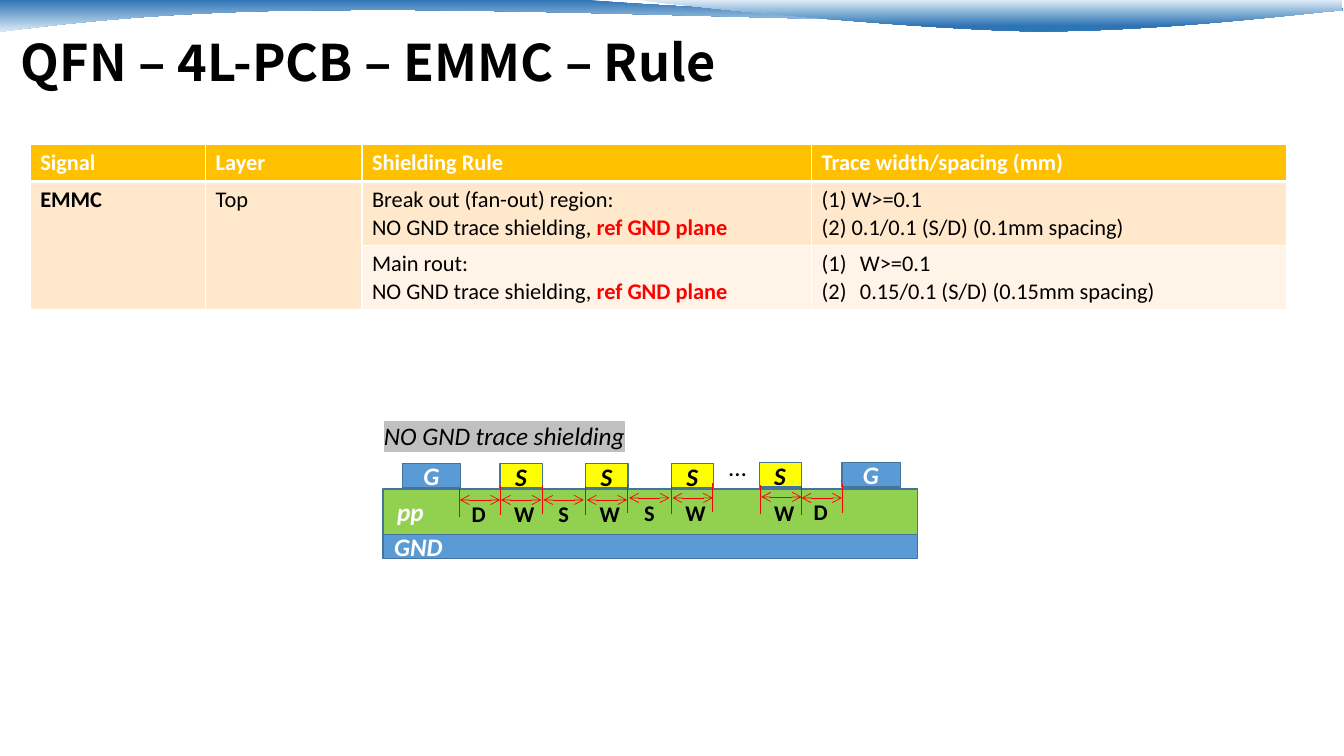
from lxml import etree
from pptx import Presentation
from pptx.dml.color import RGBColor
from pptx.enum.shapes import MSO_CONNECTOR, MSO_SHAPE
from pptx.enum.text import MSO_ANCHOR, MSO_AUTO_SIZE
from pptx.oxml.ns import qn
from pptx.util import Inches, Pt

STRAIGHT = MSO_CONNECTOR.STRAIGHT
RECTANGLE = MSO_SHAPE.RECTANGLE
ANCHOR_TOP = MSO_ANCHOR.TOP
ANCHOR_BOTTOM = MSO_ANCHOR.BOTTOM
FIT_SHAPE = MSO_AUTO_SIZE.SHAPE_TO_FIT_TEXT
NO_FIT = MSO_AUTO_SIZE.NONE

BLACK = RGBColor(0x00, 0x00, 0x00)
WHITE = RGBColor(0xFF, 0xFF, 0xFF)
RED = RGBColor(0xFF, 0x00, 0x00)
GREEN = RGBColor(0x92, 0xD0, 0x50)
YELLOW = RGBColor(0xFF, 0xFF, 0x00)
BLUE = RGBColor(0x5B, 0x9B, 0xD5)
OUTLINE = RGBColor(0x43, 0x73, 0x9E)
WAVE_DARK = RGBColor(0x2E, 0x75, 0xB6)
WAVE_LIGHT = RGBColor(0xDE, 0xEB, 0xF7)
GREY = RGBColor(0xC0, 0xC0, 0xC0)
GOLD = RGBColor(0xFF, 0xC0, 0x00)
PEACH = RGBColor(0xFF, 0xE8, 0xCC)
PALE_PEACH = RGBColor(0xFF, 0xF4, 0xE7)

LEFT_WAVE = [
    [(-0.03, 0)], [(5.84, 0)],
    [(6.32, 0.05), (8.82, 0.18), (10.09, 0.18)],
    [(11.35, 0.18), (12.75, 0.07), (13.31, 0.03)], [(13.32, 0.1)],
    [(13.09, 0.13), (11.57, 0.22), (9.92, 0.22)],
    [(8.27, 0.21), (5.06, 0.08), (3.4, 0.1)],
    [(1.7, 0.1), (0.59, 0.24), (-0.04, 0.32)],
]
RIGHT_WAVE = [
    [(6.36, 0)],
    [(6.77, 0.06), (9.07, 0.29), (10.22, 0.31)],
    [(11.38, 0.32), (12.79, 0.15), (13.31, 0.1)], [(13.31, 0)],
]

GROUND_TRACES = [(3.99, 4.6), (8.35, 4.59)]
SIGNAL_TRACES = [(4.96, 4.6), (5.81, 4.6), (6.66, 4.6), (7.53, 4.59)]
TICKS = [(4.56, 4.84), (4.96, 4.82), (5.38, 4.81), (5.81, 4.82), (6.22, 4.8),
         (6.66, 4.81), (7.07, 4.79), (7.54, 4.81), (7.95, 4.82), (8.35, 4.8)]
DIMENSIONS = [("D", 4.56, 4.96, 4.91), ("W", 4.97, 4.96, 4.91),
              ("S", 5.39, 4.96, 4.91), ("W", 5.82, 4.96, 4.91),
              ("S", 6.24, 4.94, 4.9), ("W", 6.67, 4.94, 4.9),
              ("W", 7.55, 4.93, 4.9), ("D", 7.95, 4.94, 4.89)]
LABEL_OFFSETS = {"D": 0.02, "W": 0.03, "S": 0.05}
LABEL_WIDTHS = {"D": 0.29, "W": 0.4, "S": 0.3}

COLUMN_WIDTHS = [1.74, 1.55, 4.46, 4.71]
ROW_HEIGHTS = [0.37, 0.63, 0.63]
HEADINGS = ["Signal", "Layer", "Shielding Rule", "Trace width/spacing (mm)"]


def add_run(paragraph, text, size=16, color=BLACK, bold=False, italic=False,
            font="Calibri", highlight=None):
    run = paragraph.add_run()
    run.text = text
    run.font.size = Pt(size)
    run.font.name = font
    run.font.bold = bold
    run.font.italic = italic
    run.font.color.rgb = color
    properties = run.font._element
    if font != "Calibri":
        etree.SubElement(properties, qn("a:ea"), typeface=font)
    if highlight is not None:
        mark = etree.Element(qn("a:highlight"))
        etree.SubElement(mark, qn("a:srgbClr"), val=str(highlight))
        properties.find(qn("a:solidFill")).addnext(mark)


def add_text(slide, text, left, top, width, height=0.4, **text_format):
    box = slide.shapes.add_textbox(Inches(left), Inches(top), Inches(width), Inches(height))
    box.text_frame.word_wrap = False
    box.text_frame.auto_size = FIT_SHAPE
    box.text_frame.vertical_anchor = ANCHOR_TOP
    add_run(box.text_frame.paragraphs[0], text, **text_format)
    return box


def add_title(slide, text):
    box = add_text(slide, text, 0.11, 0.13, 12.26, 0.79,
                   size=36, bold=True, font="Noto Sans CJK TC")
    frame = box.text_frame
    frame.word_wrap = True
    frame.auto_size = NO_FIT
    frame.vertical_anchor = ANCHOR_BOTTOM
    frame.margin_top = frame.margin_bottom = 0
    frame.paragraphs[0].line_spacing = 0.9


def bend_segments(shape, segments):
    lines = iter(list(shape._element.iter(qn("a:lnTo"))))
    for segment in segments[1:]:
        parts = [next(lines) for point in segment]
        if len(parts) == 3:
            curve = etree.Element(qn("a:cubicBezTo"))
            parts[0].addprevious(curve)
            for part in parts:
                curve.append(part[0])
                part.getparent().remove(part)


def add_wave(slide, segments, stops):
    corners = [(Inches(x), Inches(y)) for segment in segments for x, y in segment]
    builder = slide.shapes.build_freeform(*corners[0])
    builder.add_line_segments(corners[1:], close=True)
    shape = builder.convert_to_shape()
    bend_segments(shape, segments)
    shape.shadow.inherit = False
    shape.line.fill.background()
    shape.fill.gradient()
    shape.fill.gradient_angle = 270
    for gradient_stop, (position, color) in zip(shape.fill.gradient_stops, stops):
        gradient_stop.position = position
        gradient_stop.color.rgb = color


def add_rectangle(slide, left, top, width, height, color):
    shape = slide.shapes.add_shape(RECTANGLE, Inches(left), Inches(top),
                                   Inches(width), Inches(height))
    shape.shadow.inherit = False
    shape.fill.solid()
    shape.fill.fore_color.rgb = color
    shape.line.color.rgb = OUTLINE
    shape.line.width = Pt(1)


def add_line(slide, start, end, arrows=False):
    connector = slide.shapes.add_connector(STRAIGHT, *map(Inches, start + end))
    connector.line.color.rgb = RED
    connector.line.width = Pt(0.5)
    if arrows:
        line = connector.line._get_or_add_ln()
        for side in ("a:headEnd", "a:tailEnd"):
            etree.SubElement(line, qn(side), type="arrow")
    etree.SubElement(connector._element.spPr, qn("a:effectLst"))


def add_stackup(slide):
    label_format = {"size": 18, "bold": True, "italic": True}
    add_rectangle(slide, 3.8, 4.85, 5.3, 0.51, GREEN)
    add_rectangle(slide, 3.8, 5.3, 5.3, 0.24, BLUE)
    add_text(slide, "pp", 3.84, 4.87, 0.48, color=WHITE, **label_format)
    add_text(slide, "GND", 3.81, 5.22, 0.69, color=WHITE, **label_format)
    for left, top in GROUND_TRACES:
        add_rectangle(slide, left, top, 0.58, 0.24, BLUE)
        add_text(slide, "G", left + 0.11, top - 0.08, 0.36, color=WHITE, **label_format)
    for left, top in SIGNAL_TRACES:
        add_rectangle(slide, left, top, 0.42, 0.24, YELLOW)
        add_text(slide, "S", left + 0.05, top - 0.07, 0.32, **label_format)
    for x, top in TICKS:
        add_line(slide, (x, top + 0.29), (x, top))
    for letter, left, arrow_y, label_top in DIMENSIONS:
        add_line(slide, (left, arrow_y), (left + 0.4, arrow_y), arrows=True)
        add_text(slide, letter, left + LABEL_OFFSETS[letter], label_top,
                 LABEL_WIDTHS[letter], 0.37, bold=True)
    add_text(slide, "…", 7.13, 4.43, 0.37, size=18)


def style_cell(cell, color, bottom_width):
    properties = cell._tc.get_or_add_tcPr()
    for side, width in (("L", 1), ("R", 1), ("T", 1), ("B", bottom_width)):
        border = etree.SubElement(properties, qn(f"a:ln{side}"), w=str(Pt(width)))
        fill = etree.SubElement(border, qn("a:solidFill"))
        etree.SubElement(fill, qn("a:srgbClr"), val=str(WHITE))
    cell.fill.solid()
    cell.fill.fore_color.rgb = color


def fill_lines(cell, lines, numbered=False):
    frame = cell.text_frame
    for index, line in enumerate(lines):
        paragraph = frame.add_paragraph() if index else frame.paragraphs[0]
        if numbered:
            properties = paragraph._p.get_or_add_pPr()
            properties.set("marL", str(Inches(0.38)))
            properties.set("indent", str(-Inches(0.38)))
            etree.SubElement(properties, qn("a:buAutoNum"), type="arabicParenBoth")
        add_run(paragraph, line)


def add_shielding_rule(cell, region, same_paragraph):
    paragraph = cell.text_frame.paragraphs[0]
    add_run(paragraph, region)
    if same_paragraph:
        paragraph.add_line_break()
    else:
        paragraph = cell.text_frame.add_paragraph()
    add_run(paragraph, "NO GND trace shielding, ")
    add_run(paragraph, "ref GND plane", color=RED, bold=True)


def add_rule_table(slide):
    table = slide.shapes.add_table(3, 4, Inches(0.3), Inches(1.43), Inches(12.46),
                                   Inches(1.63)).table
    for column, width in zip(table.columns, COLUMN_WIDTHS):
        column.width = Inches(width)
    for index, (row, height) in enumerate(zip(table.rows, ROW_HEIGHTS)):
        row.height = Inches(height)
        for position, cell in enumerate(row.cells):
            color = GOLD if index == 0 else PALE_PEACH if index == 2 and position > 1 else PEACH
            style_cell(cell, color, 3 if index == 0 else 1)
    for column, heading in enumerate(HEADINGS):
        add_run(table.cell(0, column).text_frame.paragraphs[0], heading, color=WHITE, bold=True)
    for column, (text, bold) in enumerate([("EMMC", True), ("Top", False)]):
        table.cell(1, column).merge(table.cell(2, column))
        add_run(table.cell(1, column).text_frame.paragraphs[0], text, bold=bold)
    add_shielding_rule(table.cell(1, 2), "Break out (fan-out) region:", same_paragraph=True)
    add_shielding_rule(table.cell(2, 2), "Main rout:", same_paragraph=False)
    fill_lines(table.cell(1, 3), ["(1) W>=0.1", "(2) 0.1/0.1 (S/D) (0.1mm spacing)"])
    fill_lines(table.cell(2, 3), ["W>=0.1", "0.15/0.1 (S/D) (0.15mm spacing)"], numbered=True)


def main():
    presentation = Presentation()
    presentation.slide_width = Inches(13.33)
    presentation.slide_height = Inches(7.5)
    slide = presentation.slides.add_slide(presentation.slide_layouts[6])
    add_wave(slide, LEFT_WAVE, [(0, WAVE_DARK), (1, WAVE_LIGHT)])
    add_wave(slide, RIGHT_WAVE, [(0, WAVE_LIGHT), (0.8, WAVE_DARK)])
    add_title(slide, "QFN – 4L-PCB – EMMC – Rule")
    add_stackup(slide)
    add_rule_table(slide)
    add_text(slide, "NO GND trace shielding", 3.71, 4.12, 2.59,
             size=18, italic=True, highlight=GREY)
    presentation.save("out.pptx")


if __name__ == "__main__":
    main()
